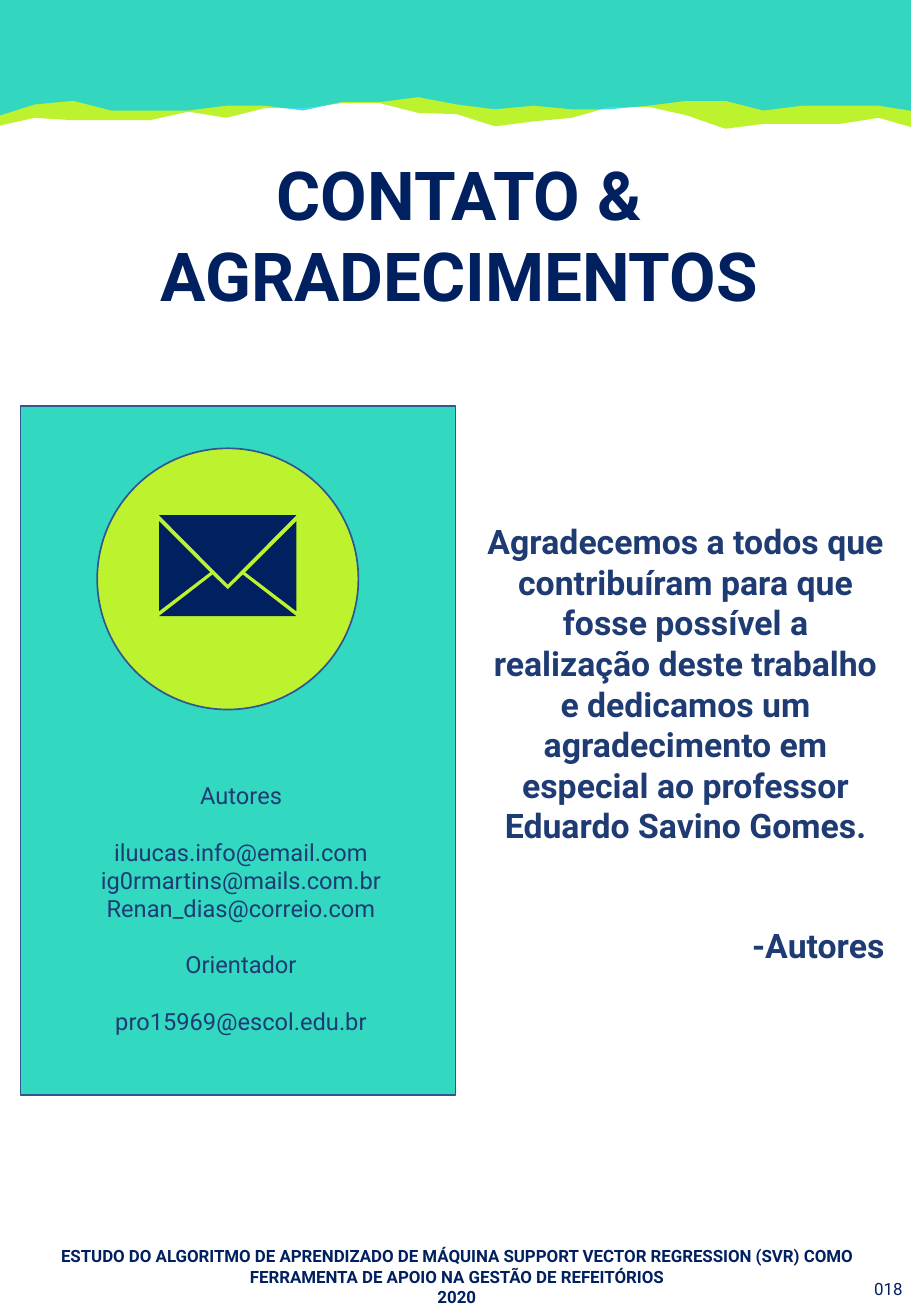
from lxml.etree import SubElement
from pptx import Presentation
from pptx.dml.color import RGBColor
from pptx.enum.shapes import MSO_SHAPE as Shape
from pptx.enum.text import MSO_ANCHOR as Anchor, PP_ALIGN as Align
from pptx.oxml.ns import qn
from pptx.util import Inches, Pt

rgb = RGBColor.from_string
NAVY, BLUE, TEAL, LIME, EDGE = "002060", "1F3B73", "32D8C0", "BDF32E", "325491"

presentation = Presentation()
presentation.slide_width = Inches(7.5)
presentation.slide_height = Inches(10.83)
slide = presentation.slides.add_slide(presentation.slide_layouts[6])

# Grid of 100 columns by 100 rows
COLUMN = presentation.slide_width / 100
ROW = presentation.slide_height / 100


def draw_outline(contours, color, opacity=100):
    """Draw closed contours, given in inches, as one filled shape."""
    contours = [[(Inches(x), Inches(y)) for x, y in points] for points in contours]
    builder = slide.shapes.build_freeform(*contours[0][0])
    for index, points in enumerate(contours):
        if index:
            builder.move_to(*points[0])
        builder.add_line_segments(points[1:], close=True)
    shape = builder.convert_to_shape()
    shape.shadow.inherit = False
    shape.fill.solid()
    shape.fill.fore_color.rgb = rgb(color)
    shape.line.fill.background()
    if opacity < 100:
        fill_color = next(shape._element.spPr.iter(qn("a:srgbClr")))
        SubElement(fill_color, qn("a:alpha")).set("val", str(opacity * 1000))


def write(box, lines, size, color, bold=False, frame_format=None):
    """Write lines of (text, alignment, empty lines above) in a grid box."""
    left, top, width, height = box
    frame = slide.shapes.add_textbox(
        int(left * COLUMN), int(top * ROW), int(width * COLUMN), int(height * ROW)
    ).text_frame
    for name, value in {"word_wrap": True, **(frame_format or {})}.items():
        setattr(frame, name, value)
    font_format = {"name": "Roboto", "size": Pt(size), "bold": bold}
    for index, (text, alignment, gap) in enumerate(lines):
        paragraph = frame.add_paragraph() if index else frame.paragraphs[0]
        paragraph.alignment = alignment
        paragraph.space_before = Pt(round(gap * size * 1.18, 1))
        run = paragraph.add_run()
        run.text = text
        for name, value in font_format.items():
            setattr(run.font, name, value)
        run.font.color.rgb = rgb(color)


# Torn bands along the top: one depth for each of 25 evenly spaced points
bands = [
    ("AFF000", 82, [1.04, .97, .99, .99, .99, .92, .97, .89, .89, .85, .85, .93, .94,
                    1.04, 1, .97, .88, .88, .95, 1.06, 1.02, 1.02, 1.02, .97, 1.06]),
    ("00CEF6", 73, [.96, .86, .83, .91, .91, .91, .87, .87, .91, .84, .84, .8, .86,
                    .9, .87, .9, .9, .87, .83, .83, .91, .87, .87, .87, .92]),
]
for color, opacity, depths in bands:
    step = 7.58 / (len(depths) - 1)
    edge = [(-0.03 + step * index, depth) for index, depth in enumerate(depths)]
    draw_outline([[(-0.05, 0), *edge, (7.56, 0)]], color, opacity)

# Footer and page number
write((0, 94, 100.27, 6),
      [("ESTUDO DO ALGORITMO DE APRENDIZADO DE MÁQUINA SUPPORT VECTOR REGRESSION (SVR) "
        "COMO FERRAMENTA DE APOIO NA GESTÃO DE REFEITÓRIOS", Align.CENTER, 0),
       ("2020", Align.CENTER, 0)],
      10, NAVY, True, {"vertical_anchor": Anchor.MIDDLE})
margins = {f"margin_{side}": Inches(0.07) for side in ("left", "top", "right", "bottom")}
write((93.87, 95.84, 6.13, 4.16), [("018", Align.RIGHT, 0)], 10, NAVY,
      frame_format={"vertical_anchor": Anchor.MIDDLE, **margins})

# Title
write((0, 11.17, 100.8, 13.39),
      [(text, Align.CENTER, 0) for text in ("CONTATO &", "AGRADECIMENTOS")],
      40, NAVY, True)

# Contact panel and its round badge
for kind, left, top, width, height, color in [
    (Shape.RECTANGLE, 2.27, 30.84, 47.73, 52.35, TEAL),
    (Shape.OVAL, 10.67, 34.07, 28.67, 19.85, LIME),
]:
    shape = slide.shapes.add_shape(kind, int(left * COLUMN), int(top * ROW),
                                   int(width * COLUMN), int(height * ROW))
    shape.shadow.inherit = False
    shape.fill.solid()
    shape.fill.fore_color.rgb = rgb(color)
    shape.line.color.rgb = rgb(EDGE)
    shape.line.width = Pt(1)

# Envelope: bottom, two mirrored sides and the flap
LEFT, TOP, WIDTH, HEIGHT = 1.31, 4.24, 1.13, 0.83
left_side = [(0, 0.05), (0.42, 0.47), (0, 0.79)]
right_side = [(WIDTH - x, y) for x, y in left_side]
bottom = [(0, HEIGHT), (0.44, 0.49), (WIDTH / 2, 0.61), (WIDTH - 0.44, 0.49), (WIDTH, HEIGHT)]
flap = [(0, 0), (WIDTH, 0), (WIDTH / 2, 0.57)]
draw_outline([[(LEFT + x, TOP + y) for x, y in part]
              for part in (bottom, right_side, left_side, flap)], NAVY)

# Contacts
contacts = [("Autores", 0), ("iluucas.info@email.com", 1), ("ig0rmartins@mails.com.br", 0),
            ("Renan_dias@correio.com", 0), ("Orientador", 1), ("pro15969@escol.edu.br", 1)]
write((7.6, 58.91, 37.73, 26.13),
      [(text, Align.CENTER, gap) for text, gap in contacts], 14, BLUE)

# Thanks
write((52.13, 39.15, 46.27, 35.09),
      [("Agradecemos a todos que contribuíram para que fosse possível a realização deste "
        "trabalho e dedicamos um agradecimento em especial ao professor "
        "Eduardo Savino Gomes.", Align.CENTER, 0),
       ("-Autores", Align.RIGHT, 2)],
      20, BLUE, True)

presentation.save("out.pptx")
